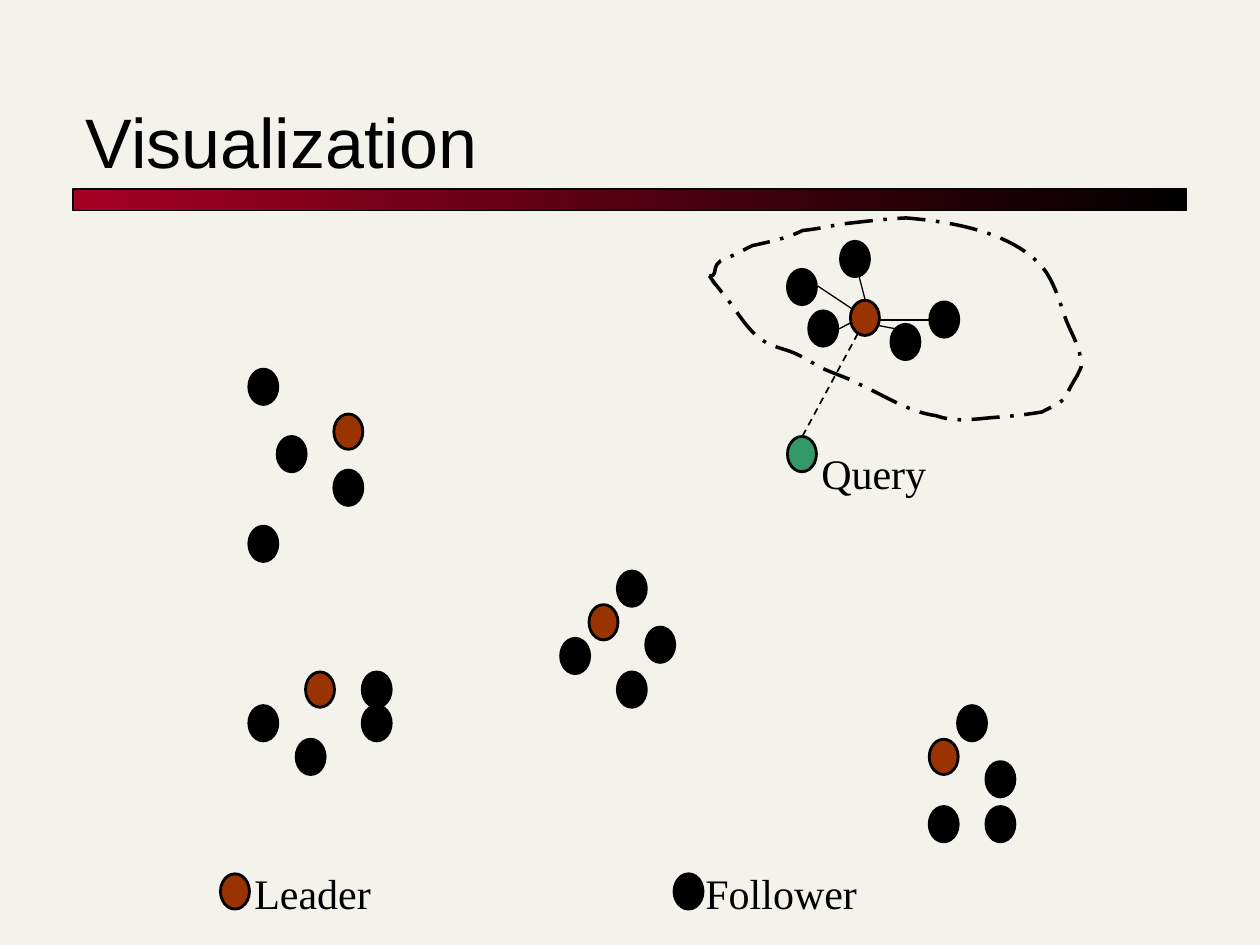
from dataclasses import dataclass

from lxml.etree import SubElement
from pptx import Presentation
from pptx.dml.color import RGBColor
from pptx.enum.dml import MSO_LINE
from pptx.enum.shapes import MSO_CONNECTOR, MSO_SHAPE
from pptx.enum.text import MSO_ANCHOR, MSO_AUTO_SIZE, PP_ALIGN
from pptx.oxml.ns import qn
from pptx.util import Inches, Pt


@dataclass(frozen=True)
class Theme:
    paper: RGBColor = RGBColor.from_string("F4F3EB")
    ink: RGBColor = RGBColor.from_string("000000")
    accent: RGBColor = RGBColor.from_string("A50021")
    leader: RGBColor = RGBColor.from_string("993300")
    query: RGBColor = RGBColor.from_string("339966")
    title_font: str = "Arial"
    label_font: str = "Times New Roman"
    title_size: int = 40
    label_size: int = 24


THEME = Theme()
GRID_LEFT, GRID_TOP = 1.75, 2.04
COLUMN, ROW = 0.225, 0.089
DOT_WIDTH, DOT_HEIGHT = 0.23, 0.28
HUNDREDTH = Inches(0.01)

CLUSTERS = [
    ((1, 10), (3, 4), [(0, 0), (1, 6), (3, 9), (0, 14)]),
    ((1, 37), (2, 0), [(4, 3), (4, 0), (0, 3), (1.67, 6)]),
    ((12, 28), (1, 3), [(2, 0), (3, 5), (2, 9), (0, 6)]),
    ((25, 40), (0, 3), [(1, 0), (0, 9), (2, 5), (2, 9)]),
    ((20, -1.4), (2.22, 5.25), [(0, 2.5), (0.75, 6.2), (3.65, 7.4), (5.02, 5.4), (1.87, 0)]),
]

REGION_START = (13, 49)
REGION_CURVES = [
    (26, 67, 4, 38, 26, 66), (36, 78, 42, 91, 55, 100),
    (63, 106, 75, 107, 84, 112), (91, 115, 97, 120, 104, 123),
    (113, 127, 123, 130, 132, 135), (152, 144, 171, 157, 193, 160),
    (210, 166, 226, 162, 244, 161), (256, 160, 265, 159, 277, 157),
    (284, 153, 291, 151, 296, 145), (298, 139, 305, 128, 305, 128),
    (306, 125, 309, 122, 308, 118), (307, 104, 299, 93, 295, 81),
    (291, 69, 286, 53, 278, 43), (254, 14, 205, 6, 169, 3),
    (150, 4, 135, 6, 117, 8), (107, 10, 97, 12, 87, 13),
    (75, 19, 61, 22, 47, 25), (39, 29, 30, 34, 22, 37),
    (21, 38, 19, 40, 19, 40), (16, 45, 19, 49, 13, 49),
]
SPOKES = [
    (140, 87, 161, 91), (142, 84, 187, 84), (140, 81, 132, 50),
    (135, 81, 99, 57), (135, 81, 116, 91),
]
QUERY_LINK = (87, 176, 135, 87)


def style_line(line, width, dash=None):
    line.color.rgb = THEME.ink
    line.width = Pt(width)
    if dash:
        line.dash_style = dash


def style_text(frame, font_name, size):
    for run in frame.paragraphs[0].runs:
        run.font.name = font_name
        run.font.size = Pt(size)
        run.font.color.rgb = THEME.ink


def add_heading(slide, left, top, width, height):
    bar = slide.shapes.add_shape(
        MSO_SHAPE.RECTANGLE, Inches(left), Inches(top + height), Inches(width), Inches(0.17))
    bar.shadow.inherit = False
    bar.fill.gradient()
    bar.fill.gradient_angle = 0
    for stop, color in zip(bar.fill.gradient_stops, (THEME.accent, THEME.ink)):
        stop.color.rgb = color
    style_line(bar.line, 0.75)

    title = slide.shapes.title
    title.left, title.top = Inches(left), Inches(top)
    title.width, title.height = Inches(width), Inches(height)
    frame = title.text_frame
    frame.text = "Visualization"
    frame.vertical_anchor = MSO_ANCHOR.BOTTOM
    frame.paragraphs[0].alignment = PP_ALIGN.LEFT
    style_text(frame, THEME.title_font, THEME.title_size)


def grid_point(column, row):
    return GRID_LEFT + column * COLUMN, GRID_TOP + row * ROW


def add_dot(slide, column, row, color):
    left, top = grid_point(column, row)
    dot = slide.shapes.add_shape(
        MSO_SHAPE.OVAL, Inches(left), Inches(top), Inches(DOT_WIDTH), Inches(DOT_HEIGHT))
    dot.shadow.inherit = False
    dot.fill.solid()
    dot.fill.fore_color.rgb = color
    style_line(dot.line, 1.62)


def add_cluster(slide, corner, leader, followers):
    column, row = corner
    for across, down in followers:
        add_dot(slide, column + across, row + down, THEME.ink)
    add_dot(slide, column + leader[0], row + leader[1], THEME.leader)


def add_labelled_dot(slide, column, row, color, words, shift, drop, width):
    add_dot(slide, column, row, color)
    left, top = grid_point(column, row)
    label = slide.shapes.add_textbox(
        Inches(left + shift), Inches(top + drop), Inches(width), Inches(0.5))
    frame = label.text_frame
    frame.text = words
    frame.word_wrap = False
    frame.auto_size = MSO_AUTO_SIZE.SHAPE_TO_FIT_TEXT
    style_text(frame, THEME.label_font, THEME.label_size)


def add_link(slide, left, top, ends, width, dash=None):
    x1, y1, x2, y2 = (value * HUNDREDTH for value in ends)
    x0, y0 = Inches(left), Inches(top)
    link = slide.shapes.add_connector(
        MSO_CONNECTOR.STRAIGHT, x0 + x1, y0 + y1, x0 + x2, y0 + y2)
    style_line(link.line, width, dash)
    SubElement(link._element.spPr, qn("a:effectLst"))


def bend_segments(freeform):
    segments = list(freeform._element.iter(qn("a:lnTo")))
    for first in range(0, len(segments), 3):
        curve = segments[first].getparent().makeelement(qn("a:cubicBezTo"), {})
        segments[first].addprevious(curve)
        for segment in segments[first:first + 3]:
            curve.append(segment[0])
            segment.getparent().remove(segment)


def add_query_region(slide, left, top):
    for spoke in SPOKES:
        add_link(slide, left, top, spoke, 0.75)
    add_link(slide, left, top, QUERY_LINK, 1, MSO_LINE.DASH)

    builder = slide.shapes.build_freeform(*REGION_START, scale=HUNDREDTH)
    for curve in REGION_CURVES:
        builder.add_line_segments(list(zip(curve[::2], curve[1::2])), close=False)
    builder.add_line_segments([], close=True)
    region = builder.convert_to_shape(Inches(left), Inches(top))
    bend_segments(region)
    region.shadow.inherit = False
    region.fill.background()
    style_line(region.line, 2, MSO_LINE.LONG_DASH_DOT)


def main():
    deck = Presentation()
    deck.slide_width, deck.slide_height = Inches(10), Inches(7.5)
    slide = deck.slides.add_slide(deck.slide_layouts[5])
    slide.background.fill.solid()
    slide.background.fill.fore_color.rgb = THEME.paper

    add_heading(slide, 0.58, 0.42, 8.84, 1.08)
    add_query_region(slide, 5.5, 1.7)
    for cluster in CLUSTERS:
        add_cluster(slide, *cluster)
    add_labelled_dot(slide, 20, 16, THEME.query, "Query", 0.17, 0.04, 1.03)
    add_labelled_dot(slide, 0, 55, THEME.leader, "Leader", 0.17, -0.1, 1.13)
    add_labelled_dot(slide, 16, 55, THEME.ink, "Follower", 0.15, -0.1, 1.41)
    deck.save("out.pptx")


if __name__ == "__main__":
    main()
